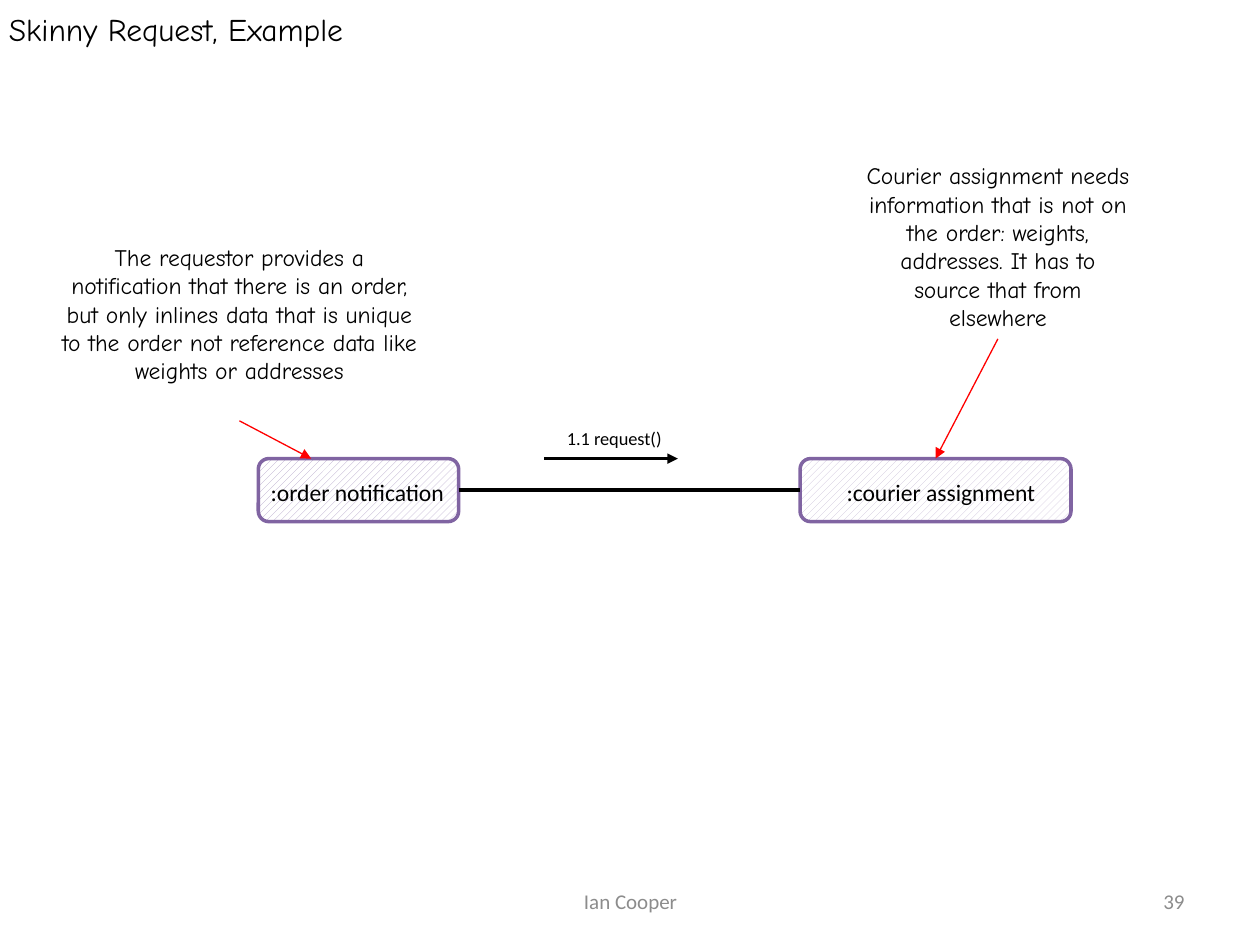
from lxml.etree import SubElement
from pptx import Presentation
from pptx.dml.color import RGBColor
from pptx.enum.dml import MSO_PATTERN
from pptx.enum.shapes import MSO_CONNECTOR, MSO_SHAPE
from pptx.enum.text import MSO_ANCHOR, MSO_AUTO_SIZE, PP_ALIGN
from pptx.oxml.ns import qn
from pptx.util import Inches, Pt

COLORS = {"ink": "000000", "paper": "FFFFFF", "muted": "8C8C8C", "note": "FF0000",
          "border": "8064A2", "hatch": "B3A2C7", "light_hatch": "CCC1DA"}
HAND, PLAIN = "Comic Neue", "Calibri"
TOP, LEFT, BOTTOM, RIGHT = range(4)


def color(name):
    return RGBColor.from_string(COLORS[name])


class Diagram:
    """Style and current slide; places are in a grid of 100 columns by 75 rows."""

    def __init__(self, prs):
        self.cell = prs.slide_width / 100
        self.slide = prs.slides.add_slide(prs.slide_layouts[5])

    def grid(self, *cells):
        return [round(c * self.cell) for c in cells]

    def set_text(self, shape, words, size, font, ink="ink", align=PP_ALIGN.LEFT,
                 anchor=MSO_ANCHOR.TOP, grow=True):
        frame = shape.text_frame
        frame.text = words
        frame.word_wrap = True
        frame.vertical_anchor = anchor
        frame.auto_size = MSO_AUTO_SIZE.SHAPE_TO_FIT_TEXT if grow else MSO_AUTO_SIZE.NONE
        paragraph = frame.paragraphs[0]
        paragraph.alignment = align
        paragraph.font.size = Pt(size)
        paragraph.font.name = font
        paragraph.font.color.rgb = color(ink)
        return shape

    def title(self, place, words):
        title = self.slide.shapes.title
        title.left, title.top, title.width, title.height = self.grid(*place)
        frame = self.set_text(title, words, 18, HAND).text_frame
        frame.margin_left = frame.margin_right = Inches(0.07)
        frame.margin_top = frame.margin_bottom = Inches(0.07)

    def text(self, place, words, size=13.5, font=PLAIN, **style):
        box = self.slide.shapes.add_textbox(*self.grid(*place))
        return self.set_text(box, words, size, font, **style)

    def note(self, place, words):
        return self.text(place, words, font=HAND, align=PP_ALIGN.CENTER)

    def footer(self, place, words, align):
        self.text(place, words, 12, ink="muted", align=align,
                  anchor=MSO_ANCHOR.MIDDLE, grow=False)

    def participant(self, place, hatch):
        box = self.slide.shapes.add_shape(MSO_SHAPE.ROUNDED_RECTANGLE, *self.grid(*place))
        box.shadow.inherit = False
        box.fill.patterned()
        box.fill.pattern = MSO_PATTERN.WIDE_UPWARD_DIAGONAL
        box.fill.fore_color.rgb = color(hatch)
        box.fill.back_color.rgb = color("paper")
        box.line.color.rgb = color("border")
        box.line.width = Pt(2)
        return box

    def line(self, start, end, width, ink="ink", arrow=True):
        """Each end is a grid point or a (shape, side) pair to join."""
        link = self.slide.shapes.add_connector(MSO_CONNECTOR.STRAIGHT, 0, 0, 0, 0)
        if hasattr(start[0], "shape_id"):
            link.begin_connect(*start)
        else:
            link.begin_x, link.begin_y = self.grid(*start)
        if hasattr(end[0], "shape_id"):
            link.end_connect(*end)
        else:
            link.end_x, link.end_y = self.grid(*end)
        link.line.color.rgb = color(ink)
        link.line.width = Pt(width)
        properties = link._element.spPr
        if arrow:
            SubElement(properties.find(qn("a:ln")), qn("a:tailEnd"), type="triangle")
        SubElement(properties, qn("a:effectLst"))


def main():
    prs = Presentation()
    prs.slide_width, prs.slide_height = Inches(10), Inches(7.5)
    diagram = Diagram(prs)

    # Title and footer
    diagram.title((0, 0.1, 100, 4.5), "Skinny Request, Example")
    diagram.footer((34.2, 69.5, 31.7, 4), "Ian Cooper", PP_ALIGN.CENTER)
    diagram.footer((71.7, 69.5, 23.3, 4), "39", PP_ALIGN.RIGHT)

    # Participants
    top, height = 36.4, 5
    order = diagram.participant((20.5, top, 15.9, height), "hatch")
    diagram.text((20.5, top + 1, 17.3, 3.3), ":order notification")
    courier = diagram.participant((63.5, top, 21.5, height), "light_hatch")
    diagram.text((66.2, top + 1, 17.1, 3.3), ":courier assignment")

    # Request between them
    diagram.line((order, RIGHT), (courier, LEFT), 2.5, arrow=False)
    diagram.line((43.2, top), (53.8, top), 1.5)
    diagram.text((44, 33.4, 9.8, 2.8), "1.1 request()", 10.5)

    # Notes and their pointers
    order_note = diagram.note(
        (3.6, 18.8, 30.8, 14.6),
        "The requestor provides a notification that there is an order, but only inlines "
        "data that is unique to the order not reference data like weights or addresses")
    diagram.line((order_note, BOTTOM), (24.7, top), 0.75, "note")
    courier_note = diagram.note(
        (67.6, 12.3, 23.2, 14.6),
        "Courier assignment needs information that is not on the order: weights, "
        "addresses. It has to source that from elsewhere")
    diagram.line((courier_note, BOTTOM), (courier, TOP), 0.75, "note")

    prs.save("out.pptx")


if __name__ == "__main__":
    main()
